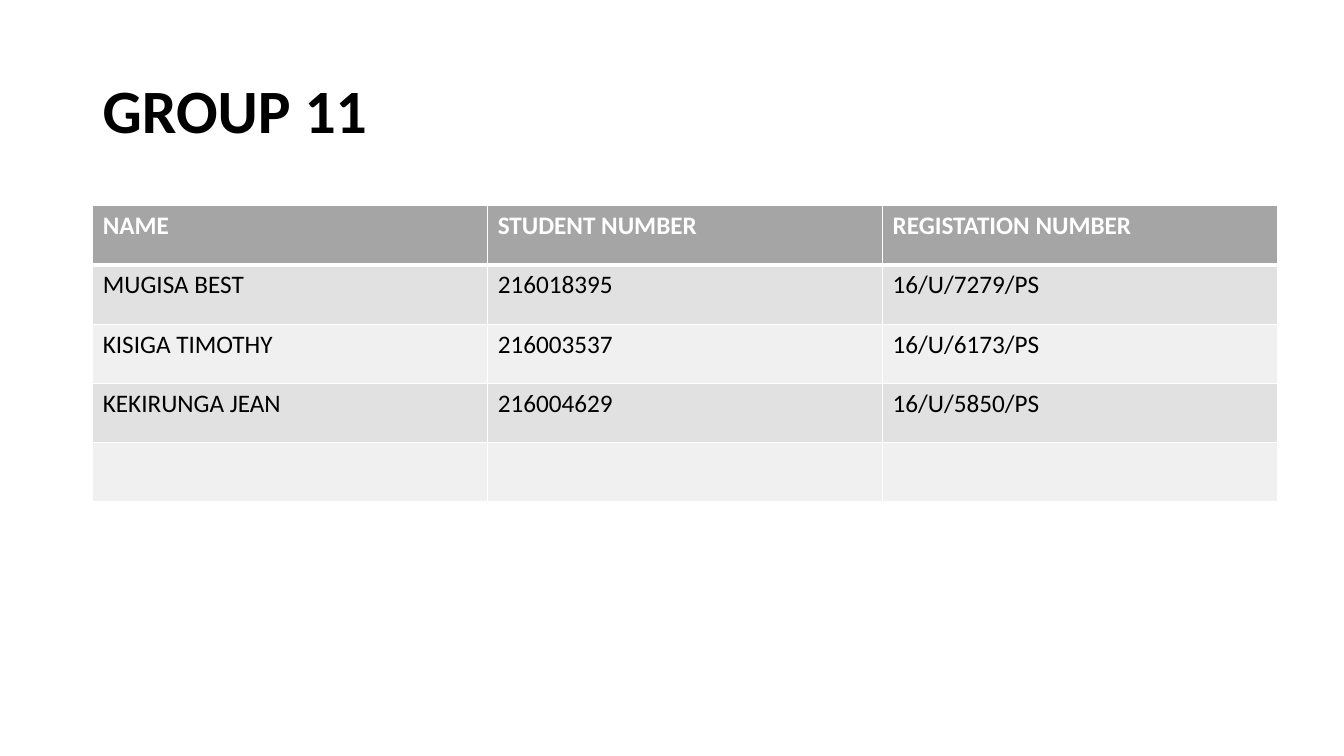
from lxml import etree
from pptx import Presentation
from pptx import util as u
from pptx.dml.color import RGBColor
from pptx.enum import text
from pptx.oxml.ns import qn

# Content
HEADING = "GROUP 11"
STUDENTS = [
    ("NAME", "STUDENT NUMBER", "REGISTATION NUMBER"),
    ("MUGISA BEST", "216018395", "16/U/7279/PS"),
    ("KISIGA TIMOTHY", "216003537", "16/U/6173/PS"),
    ("KEKIRUNGA JEAN", "216004629", "16/U/5850/PS"),
    ("", "", ""),
]

# Colours and formats
BLACK = RGBColor(0x00, 0x00, 0x00)
WHITE = RGBColor(0xFF, 0xFF, 0xFF)
HEADER_GREY = RGBColor(0xA5, 0xA5, 0xA5)
BANDS = [RGBColor(0xE1, 0xE1, 0xE1), RGBColor(0xF0, 0xF0, 0xF0)]
HEADING_FONT = {"name": "Calibri", "size": u.Pt(44), "bold": True}
HEADER_FONT = {"name": "Calibri", "size": u.Pt(18), "bold": True}
BODY_FONT = {**HEADER_FONT, "bold": False}

# Grid, in inches
LEFT = 0.92
HEADING_TOP, HEADING_WIDTH, HEADING_HEIGHT = 0.4, 11.5, 1.45
TABLE_TOP, COLUMN, ROW = 2.04, 3.917, 0.588


def style(font, formats, colour):
    for key, value in formats.items():
        setattr(font, key, value)
    font.color.rgb = colour


def add_borders(cell, widths):
    """Put border lines ahead of the fill, as the cell schema requires."""
    properties = cell._tc.get_or_add_tcPr()
    for index, (side, points) in enumerate(widths.items()):
        line = etree.Element(qn(f"a:{side}"), w=str(u.Pt(points)))
        solid = etree.SubElement(line, qn("a:solidFill"))
        etree.SubElement(solid, qn("a:srgbClr"), val=str(WHITE))
        properties.insert(index, line)


def add_heading(slide):
    heading = slide.shapes.add_textbox(
        *map(u.Inches, (LEFT, HEADING_TOP, HEADING_WIDTH, HEADING_HEIGHT)))
    frame = heading.text_frame
    frame.word_wrap = True
    frame.vertical_anchor = text.MSO_ANCHOR.MIDDLE
    paragraph = frame.paragraphs[0]
    paragraph.text = HEADING
    paragraph.line_spacing = 0.9
    style(paragraph.runs[0].font, HEADING_FONT, BLACK)


def add_students(slide):
    rows, columns = len(STUDENTS), len(STUDENTS[0])
    table = slide.shapes.add_table(
        rows, columns, *map(u.Inches, (LEFT, TABLE_TOP, columns * COLUMN, rows * ROW))).table
    for r, student in enumerate(STUDENTS):
        header = r == 0
        for c, value in enumerate(student):
            cell = table.cell(r, c)
            cell.fill.solid()
            cell.fill.fore_color.rgb = HEADER_GREY if header else BANDS[(r - 1) % 2]
            add_borders(cell, {"lnL": 1, "lnR": 1, "lnT": 3 if r == 1 else 1,
                               "lnB": 3 if header else 1})
            paragraph = cell.text_frame.paragraphs[0]
            paragraph.text = value
            style(paragraph.font, HEADER_FONT if header else BODY_FONT,
                  WHITE if header else BLACK)
            for run in paragraph.runs:
                style(run.font, HEADER_FONT if header else BODY_FONT,
                      WHITE if header else BLACK)


def main():
    deck = Presentation()
    deck.slide_width, deck.slide_height = u.Inches(13.33), u.Inches(7.5)
    slide = deck.slides.add_slide(deck.slide_layouts[6])
    add_heading(slide)
    add_students(slide)
    deck.save("out.pptx")


if __name__ == "__main__":
    main()
